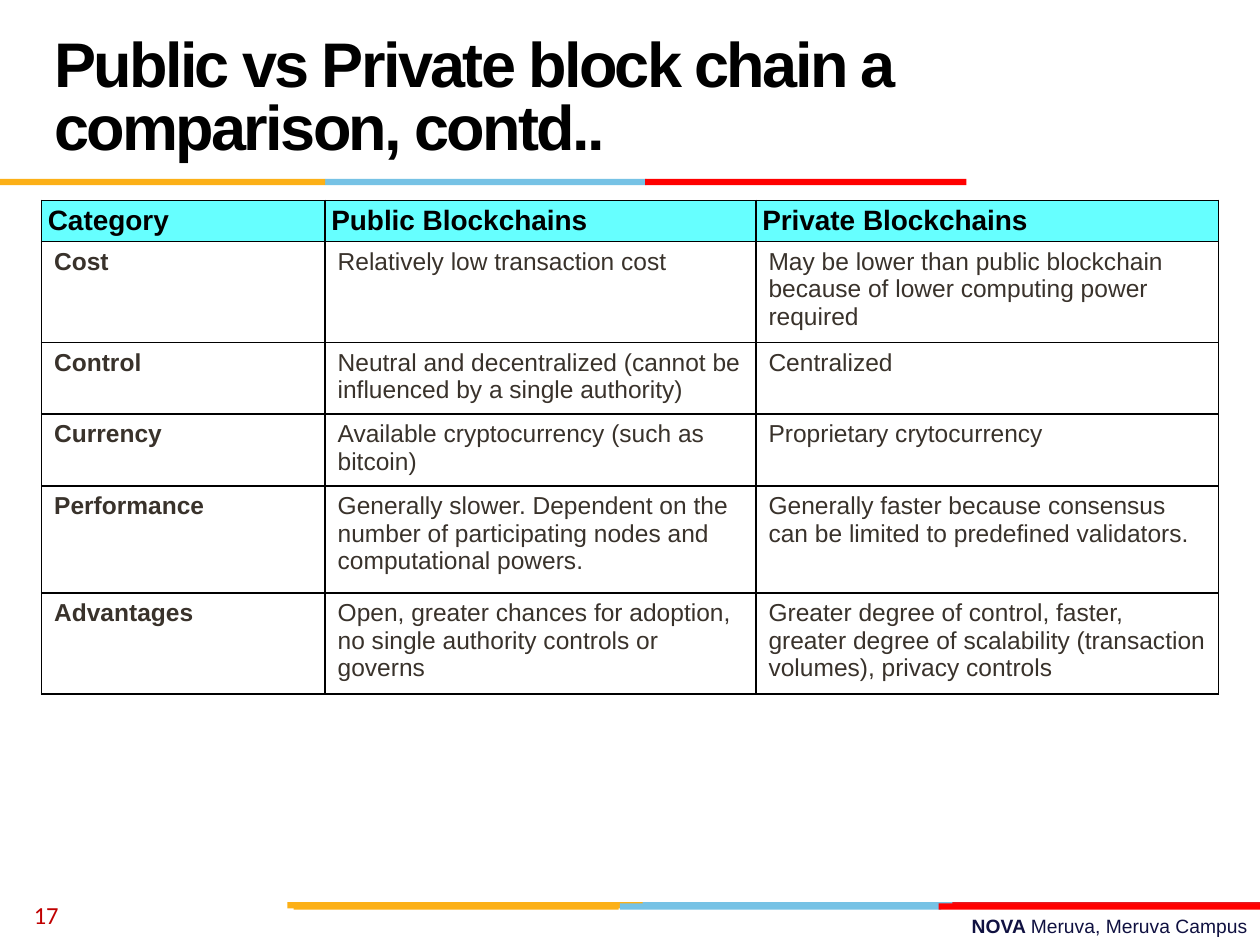
from lxml import etree
from pptx import Presentation
from pptx.dml.color import RGBColor
from pptx.enum import shapes, text
from pptx.oxml import ns
from pptx.util import Inches, Pt

BLACK = RGBColor(0, 0, 0)
BROWN = RGBColor(0x39, 0x32, 0x2B)
NAVY = RGBColor(0x10, 0x11, 0x41)
CRIMSON = RGBColor(0xC0, 0, 0)
CYAN = RGBColor(0x66, 0xFF, 0xFF)
ORANGE = RGBColor(0xFC, 0xB0, 0x17)
BLUE = RGBColor(0x76, 0xC2, 0xE5)
RED = RGBColor(0xFF, 0, 0)
DARK_RED = RGBColor(0xE3, 0x1C, 0x24)

BARS = [
    (5.06, 7.16, 2.55, BLUE), (7.56, 7.16, 2.44, DARK_RED), (2.28, 7.16, 2.82, ORANGE),
    (4.92, 7.17, 2.55, BLUE), (2.33, 7.17, 2.58, ORANGE), (7.45, 7.17, 2.55, RED),
    (2.58, 1.42, 2.55, BLUE), (0, 1.42, 2.58, ORANGE), (5.12, 1.42, 2.55, RED),
]
COLUMNS = [2.25, 3.42, 3.67]
HEIGHTS = [0.32, 0.8, 0.57, 0.57, 0.85, 0.8]
ROWS = [
    ("Category", "Public Blockchains", "Private Blockchains"),
    ("Cost", "Relatively low transaction cost",
     "May be lower than public blockchain because of lower computing power required"),
    ("Control", "Neutral and decentralized (cannot be influenced by a single authority)",
     "Centralized"),
    ("Currency", "Available cryptocurrency (such as bitcoin)", "Proprietary crytocurrency"),
    ("Performance",
     "Generally slower. Dependent on the number of participating nodes and computational powers.",
     "Generally faster because consensus can be limited to predefined validators."),
    ("Advantages", "Open, greater chances for adoption, no single authority controls or governs",
     "Greater degree of control, faster, greater degree of scalability "
     "(transaction volumes), privacy controls"),
]


def style(p, size, color, bold=None, name="Arial"):
    p.font.size = Pt(size)
    p.font.name = name
    p.font.bold = bold
    p.font.color.rgb = color


def place(sp, left, top, width, height):
    sp.left, sp.top = Inches(left), Inches(top)
    sp.width, sp.height = Inches(width), Inches(height)


def add_bar(slide, left, top, width, color):
    sp = slide.shapes.add_shape(shapes.MSO_SHAPE.RECTANGLE, Inches(left), Inches(top),
                                Inches(width), Inches(0.05))
    sp.shadow.inherit = False
    sp.fill.solid()
    sp.fill.fore_color.rgb = color
    sp.line.fill.background()


def add_text(slide, left, top, width, height, runs):
    tf = slide.shapes.add_textbox(Inches(left), Inches(top), Inches(width),
                                  Inches(height)).text_frame
    tf.word_wrap = True
    p = tf.paragraphs[0]
    for words, bold in runs:
        r = p.add_run()
        r.text = words
        r.font.bold = bold
    return tf, p


def set_title(slide, words):
    sp = slide.shapes.title
    place(sp, 0.33, 0.17, 9.33, 1.25)
    tf = sp.text_frame
    tf.text = words
    tf.word_wrap = True
    tf.auto_size = text.MSO_AUTO_SIZE.NONE
    tf.vertical_anchor = text.MSO_ANCHOR.MIDDLE
    p = tf.paragraphs[0]
    p.alignment = text.PP_ALIGN.LEFT
    p.line_spacing = Pt(36)
    style(p, 36, BLACK, True)
    p.runs[0].font._element.set("spc", "-150")


def add_borders(cell):
    tcPr = cell._tc.get_or_add_tcPr()
    for side in ("a:lnL", "a:lnR", "a:lnT", "a:lnB"):
        ln = etree.SubElement(tcPr, ns.qn(side), w=str(Pt(1)))
        fill = etree.SubElement(ln, ns.qn("a:solidFill"))
        etree.SubElement(fill, ns.qn("a:srgbClr"), val=str(BLACK))


def format_cell(cell, words, header, bold):
    cell.text = words
    add_borders(cell)
    p = cell.text_frame.paragraphs[0]
    if header:
        cell.fill.solid()
        cell.fill.fore_color.rgb = CYAN
        cell.vertical_anchor = text.MSO_ANCHOR.MIDDLE
        cell.margin_left = cell.margin_right = Inches(0.05)
        cell.margin_top = cell.margin_bottom = Inches(0.03)
        style(p, 16, BLACK, True)
    else:
        cell.fill.background()
        style(p, 14, BROWN, bold)


def add_comparison(slide):
    table = slide.shapes.add_table(len(ROWS), len(COLUMNS), Inches(0.33), Inches(1.59),
                                   Inches(sum(COLUMNS)), Inches(sum(HEIGHTS))).table
    table.horz_banding = False
    for column, width in zip(table.columns, COLUMNS):
        column.width = Inches(width)
    for i, (row, height) in enumerate(zip(table.rows, HEIGHTS)):
        row.height = Inches(height)
        for j, cell in enumerate(row.cells):
            format_cell(cell, ROWS[i][j], i == 0, j == 0)


def main():
    prs = Presentation()
    prs.slide_width, prs.slide_height = Inches(10), Inches(7.5)
    slide = prs.slides.add_slide(prs.slide_layouts[5])

    tf, p = add_text(slide, 3.58, 7.21, 6.42, 0.29,
                     [("NOVA ", True), ("Meruva, Meruva Campus", False)])
    p.alignment = text.PP_ALIGN.RIGHT
    style(p, 11, NAVY)

    for bar in BARS:
        add_bar(slide, *bar)
    set_title(slide, "Public vs Private block chain a comparison, contd..")

    tf, p = add_text(slide, 0.17, 7.06, 2.33, 0.4, [("17", False)])
    tf.vertical_anchor = text.MSO_ANCHOR.MIDDLE
    style(p, 14, CRIMSON, name="Calibri")

    add_comparison(slide)
    prs.save("out.pptx")


if __name__ == "__main__":
    main()
